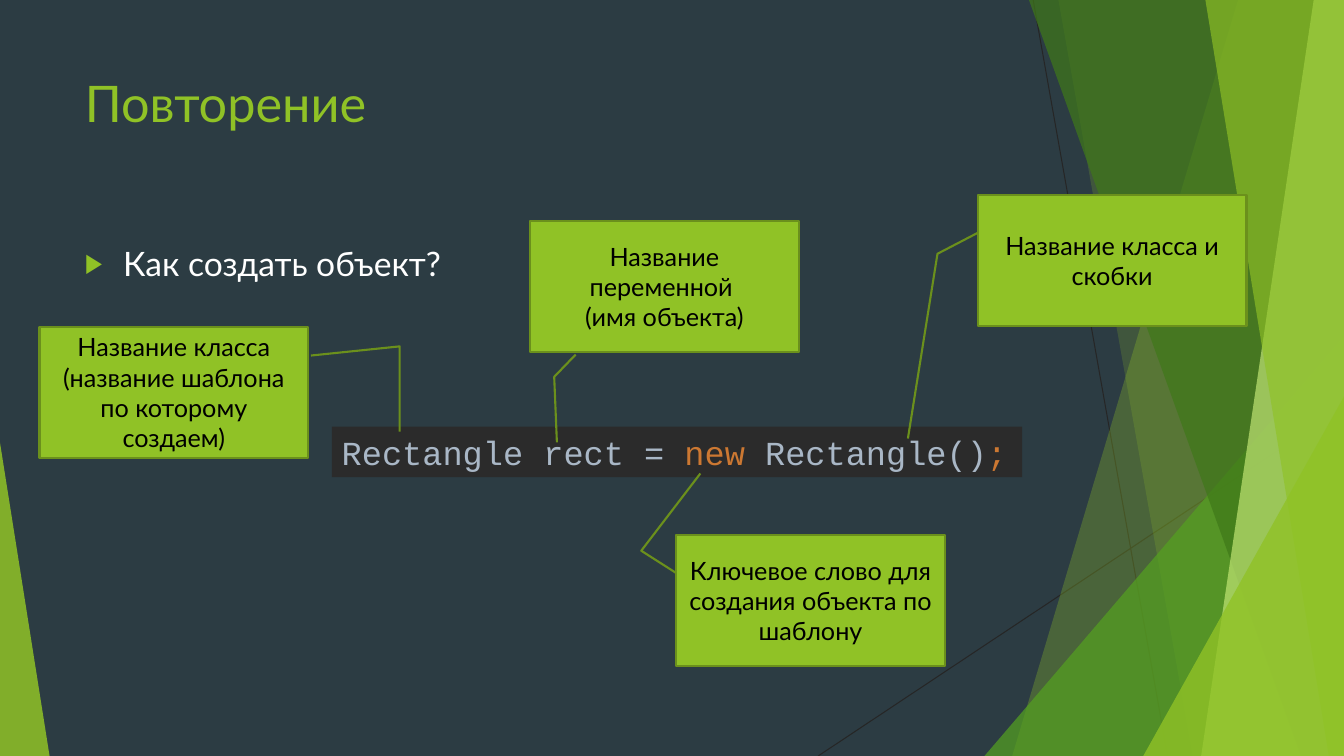
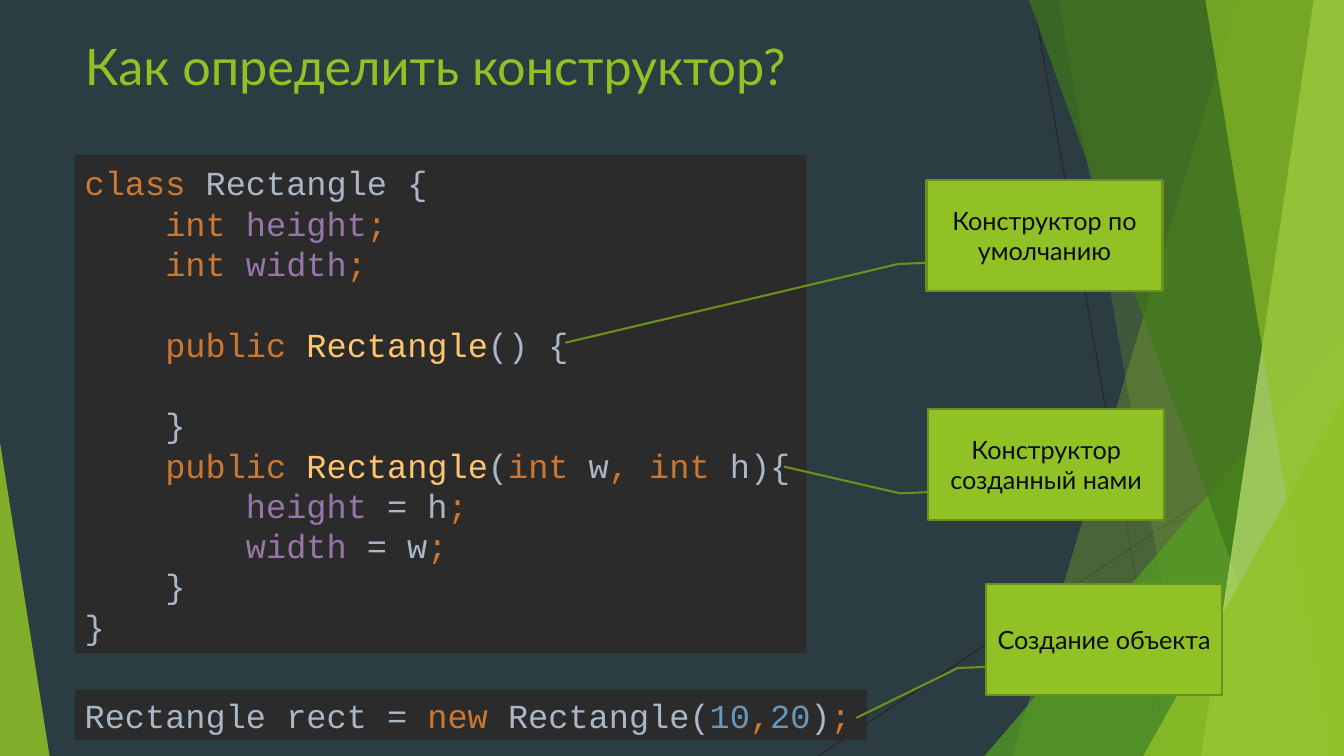
from dataclasses import dataclass

from lxml.etree import SubElement
from pptx import Presentation
from pptx.dml.color import RGBColor
from pptx.enum.shapes import MSO_CONNECTOR, MSO_SHAPE
from pptx.enum.text import MSO_ANCHOR, MSO_AUTO_SIZE, PP_ALIGN
from pptx.oxml.ns import qn
from pptx.shapes.autoshape import Shape
from pptx.shapes.group import GroupShape
from pptx.slide import Slide, SlideMaster
from pptx.util import Emu, Inches, Pt

# The slide is a grid of square cells, twelve to the inch.
COLUMNS, ROWS = 160, 90
CELL = Inches(1) / 12

BACKGROUND, GREEN, DARK_GREEN = "2C3C43", "90C226", "6B901C"
HAIRLINE, WHITE, BLACK, NEAR_BLACK = "262626", "FFFFFF", "000000", "0D0D0D"
CODE_FILL = "2B2B2B"
PLAIN, KEYWORD, FIELD, METHOD, NUMBER = "A9B7C6", "CC7832", "9876AA", "FFC66D", "6897BB"

TEXT_FONT, CODE_FONT = "Lato", "Courier New"
CODE_SIZE = 24
CODE_INDENT = Pt(4 * 0.6 * CODE_SIZE)  # four monospaced characters
CODE_BLANK_LINE = Pt(1.2 * CODE_SIZE)
TEXT_LEFT, TEXT_WIDTH = 8.9, 112.8


def cells(count: float) -> Emu:
    return Emu(round(count * CELL))


def box(left: float, top: float, width: float, height: float) -> tuple[Emu, ...]:
    return cells(left), cells(top), cells(width), cells(height)


def color(value: str) -> RGBColor:
    return RGBColor.from_string(value)


def set_font(font, name: str, size: float, value: str) -> None:
    font.name, font.size = name, Pt(size)
    font.color.rgb = color(value)


def paint(shape: Shape, fill: str, outline: str | None = None, opacity: int = 100) -> None:
    shape.shadow.inherit = False
    shape.fill.solid()
    shape.fill.fore_color.rgb = color(fill)
    if opacity < 100:
        for node in list(shape.element.spPr.iter(qn("a:srgbClr"))):
            SubElement(node, qn("a:alpha"), val=str(opacity * 1000))
    if outline:
        shape.line.color.rgb = color(outline)
        shape.line.width = Pt(1.5)
    else:
        shape.line.fill.background()


@dataclass(frozen=True)
class Pane:
    """A full-height facet that reaches the right edge of the slide."""
    top_left: float
    bottom_left: float
    fill: str
    opacity: int

    def draw(self, group: GroupShape) -> None:
        builder = group.shapes.build_freeform(cells(self.top_left), 0)
        corners = ((COLUMNS, 0), (COLUMNS, ROWS), (self.bottom_left, ROWS))
        builder.add_line_segments([(cells(x), cells(y)) for x, y in corners])
        paint(builder.convert_to_shape(), self.fill, opacity=self.opacity)


@dataclass(frozen=True)
class Corner:
    """A triangle that stands on the bottom edge; apex is a share of its width."""
    left: float
    top: float
    width: float
    apex: float
    fill: str
    opacity: int

    def draw(self, group: GroupShape) -> None:
        area = box(self.left, self.top, self.width, ROWS - self.top)
        triangle = group.shapes.add_shape(MSO_SHAPE.ISOSCELES_TRIANGLE, *area)
        triangle.adjustments[0] = self.apex
        paint(triangle, self.fill, opacity=self.opacity)


@dataclass(frozen=True)
class Callout:
    """A box whose pointer runs through (y, x) pairs in shares of its size."""
    left: float
    top: float
    text: str
    pointer: tuple[float, ...]


@dataclass(frozen=True)
class CodeLine:
    tokens: tuple[tuple[str, str], ...]
    level: int = 0
    blank_before: bool = False


HAIRLINES = (((123, 0), (139, ROWS)), ((COLUMNS, 48.4), (97.4, ROWS)))
FACETS = (
    Pane(147.4, 120.5, GREEN, 30),
    Pane(126, 142, GREEN, 20),
    Corner(117.2, 40, 42.8, 1, "54A021", 72),
    Pane(122.5, 154.9, "3F7819", 70),
    Pane(156.4, 143, "C0E474", 70),
    Pane(143.5, 158.2, GREEN, 65),
    Corner(136.1, 47.2, 23.9, 1, GREEN, 80),
    Corner(0, 52.7, 5.9, 0, GREEN, 85),
)

CREATE_OBJECT = (
    CodeLine((("Rectangle rect = ", PLAIN), ("new ", KEYWORD),
              ("Rectangle()", PLAIN), (";", KEYWORD))),
)
CREATE_WITH_SIZE = (
    CodeLine((("Rectangle rect = ", PLAIN), ("new ", KEYWORD), ("Rectangle(", PLAIN),
              ("10", NUMBER), (",", KEYWORD), ("20", NUMBER), (")", PLAIN), (";", KEYWORD))),
)
CLASS_BODY = (
    CodeLine((("class ", KEYWORD), ("Rectangle {", PLAIN))),
    CodeLine((("int ", KEYWORD), ("height", FIELD), (";", KEYWORD)), 1),
    CodeLine((("int ", KEYWORD), ("width", FIELD), (";", KEYWORD)), 1),
    CodeLine((("public ", KEYWORD), ("Rectangle", METHOD), ("() {", PLAIN)), 1, True),
    CodeLine((("}", PLAIN),), 1, True),
    CodeLine((("public ", KEYWORD), ("Rectangle", METHOD), ("(", PLAIN), ("int ", KEYWORD),
              ("w", PLAIN), (", int ", KEYWORD), ("h){", PLAIN)), 1),
    CodeLine((("height ", FIELD), ("= h", PLAIN), (";", KEYWORD)), 2),
    CodeLine((("width ", FIELD), ("= w", PLAIN), (";", KEYWORD)), 2),
    CodeLine((("}", PLAIN),), 1),
    CodeLine((("}", PLAIN),)),
)

SYNTAX_CALLOUTS = (
    Callout(4.7, 38.9, "Название класса\n(название шаблона по которому создаем)",
            (0.22, 1.01, 0.15, 1.34, 0.8, 1.34)),
    Callout(63.1, 26.3, "Название переменной \v(имя объекта)",
            (1.02, 0.17, 1.19, 0.09, 1.69, 0.1)),
    Callout(80.5, 63.7, "Ключевое слово для создания объекта по шаблону",
            (0.29, 0, 0.12, -0.13, -0.47, 0.09)),
    Callout(116.4, 23.2, "Название класса и скобки",
            (0.29, 0, 0.45, -0.15, 1.86, -0.26)),
)
ELBOW = (0.75, 0, 0.76, -0.12)
CONSTRUCTOR_CALLOUTS = (
    Callout(110.3, 21.4, "Конструктор по умолчанию", (*ELBOW, 1.47, -1.53)),
    Callout(110.5, 48.7, "Конструктор созданный нами", (*ELBOW, 0.52, -0.61)),
    Callout(117.4, 69.5, "Создание объекта", (*ELBOW, 1.21, -0.55)),
)


def decorate_master(master: SlideMaster, slide: Slide) -> None:
    """Draw the facets on a slide, then hand the group over to the master."""
    master.background.fill.solid()
    master.background.fill.fore_color.rgb = color(BACKGROUND)
    group = slide.shapes.add_group_shape()
    for start, end in HAIRLINES:
        line = group.shapes.add_connector(
            MSO_CONNECTOR.STRAIGHT, *map(cells, start), *map(cells, end))
        line.line.color.rgb = color(HAIRLINE)
        line.line.width = Pt(0.75)
        SubElement(line.element.spPr, qn("a:effectLst"))
    for facet in FACETS:
        facet.draw(group)
    for number, properties in enumerate(group.element.iter(qn("p:cNvPr")), start=100):
        properties.set("id", str(number))
    master.shapes.element.insert(2, group.element)


def place_text(shape: Shape, text: str, top: float, height: float, size: float, value: str) -> None:
    """Fill a placeholder of the shared text column."""
    shape.left, shape.top, shape.width, shape.height = box(TEXT_LEFT, top, TEXT_WIDTH, height)
    frame = shape.text_frame
    frame.text = text
    frame.vertical_anchor = MSO_ANCHOR.TOP
    paragraph = frame.paragraphs[0]
    paragraph.alignment = PP_ALIGN.LEFT
    set_font(paragraph.font, TEXT_FONT, size, value)


def set_title(slide: Slide, text: str, top: float) -> None:
    place_text(slide.shapes.title, text, top, 17.3, 36, GREEN)


def add_bullet(paragraph) -> None:
    paragraph.space_before = Pt(10)
    properties = paragraph._p.get_or_add_pPr()
    properties.set("marL", str(Inches(0.38)))
    properties.set("indent", str(-Inches(0.38)))
    bullet_color = SubElement(properties, qn("a:buClr"))
    SubElement(bullet_color, qn("a:srgbClr"), val=GREEN)
    SubElement(properties, qn("a:buSzPct"), val="80000")
    SubElement(properties, qn("a:buChar"), char="▶")


def add_code(slide: Slide, area: tuple[Emu, ...], lines: tuple[CodeLine, ...]) -> None:
    shape = slide.shapes.add_shape(MSO_SHAPE.RECTANGLE, *area)
    paint(shape, CODE_FILL)
    frame = shape.text_frame
    frame.word_wrap = False
    frame.auto_size = MSO_AUTO_SIZE.SHAPE_TO_FIT_TEXT
    frame.vertical_anchor = MSO_ANCHOR.MIDDLE
    for index, line in enumerate(lines):
        paragraph = frame.add_paragraph() if index else frame.paragraphs[0]
        paragraph.alignment = PP_ALIGN.LEFT
        if line.level:
            paragraph._p.get_or_add_pPr().set("marL", str(line.level * CODE_INDENT))
        if line.blank_before:
            paragraph.space_before = CODE_BLANK_LINE
        for text, value in line.tokens:
            run = paragraph.add_run()
            run.text = text
            set_font(run.font, CODE_FONT, CODE_SIZE, value)


def add_callouts(slide: Slide, callouts: tuple[Callout, ...], width: float, height: float,
                 text_color: str) -> None:
    for callout in callouts:
        shape = slide.shapes.add_shape(
            MSO_SHAPE.LINE_CALLOUT_2, *box(callout.left, callout.top, width, height))
        paint(shape, GREEN, DARK_GREEN)
        for index, share in enumerate(callout.pointer):
            shape.adjustments[index] = share
        frame = shape.text_frame
        frame.text = callout.text
        frame.vertical_anchor = MSO_ANCHOR.MIDDLE
        for paragraph in frame.paragraphs:
            paragraph.alignment = PP_ALIGN.CENTER
            set_font(paragraph.font, TEXT_FONT, 18, text_color)


def build_review(slide: Slide) -> None:
    set_title(slide, "Повторение", 8)
    body = slide.placeholders[1]
    place_text(body, "Как создать объект?", 28.3, 50.9, 24, WHITE)
    add_bullet(body.text_frame.paragraphs[0])
    add_code(slide, box(39.5, 50.8, 82.2, 6), CREATE_OBJECT)
    add_callouts(slide, SYNTAX_CALLOUTS, 32, 15.6, BLACK)


def build_constructor(slide: Slide) -> None:
    set_title(slide, "Как определить конструктор?", 3.6)
    add_code(slide, box(TEXT_LEFT, 18.4, 87.1, 59.4), CLASS_BODY)
    add_code(slide, box(TEXT_LEFT, 82.1, 94.3, 6), CREATE_WITH_SIZE)
    add_callouts(slide, CONSTRUCTOR_CALLOUTS, 28.1, 13.2, NEAR_BLACK)


def main() -> None:
    presentation = Presentation()
    presentation.slide_width, presentation.slide_height = cells(COLUMNS), cells(ROWS)
    layouts = presentation.slide_layouts
    review = presentation.slides.add_slide(layouts.get_by_name("Title and Content"))
    constructor = presentation.slides.add_slide(layouts.get_by_name("Title Only"))
    decorate_master(presentation.slide_master, review)
    build_review(review)
    build_constructor(constructor)
    presentation.save("out.pptx")


if __name__ == "__main__":
    main()
